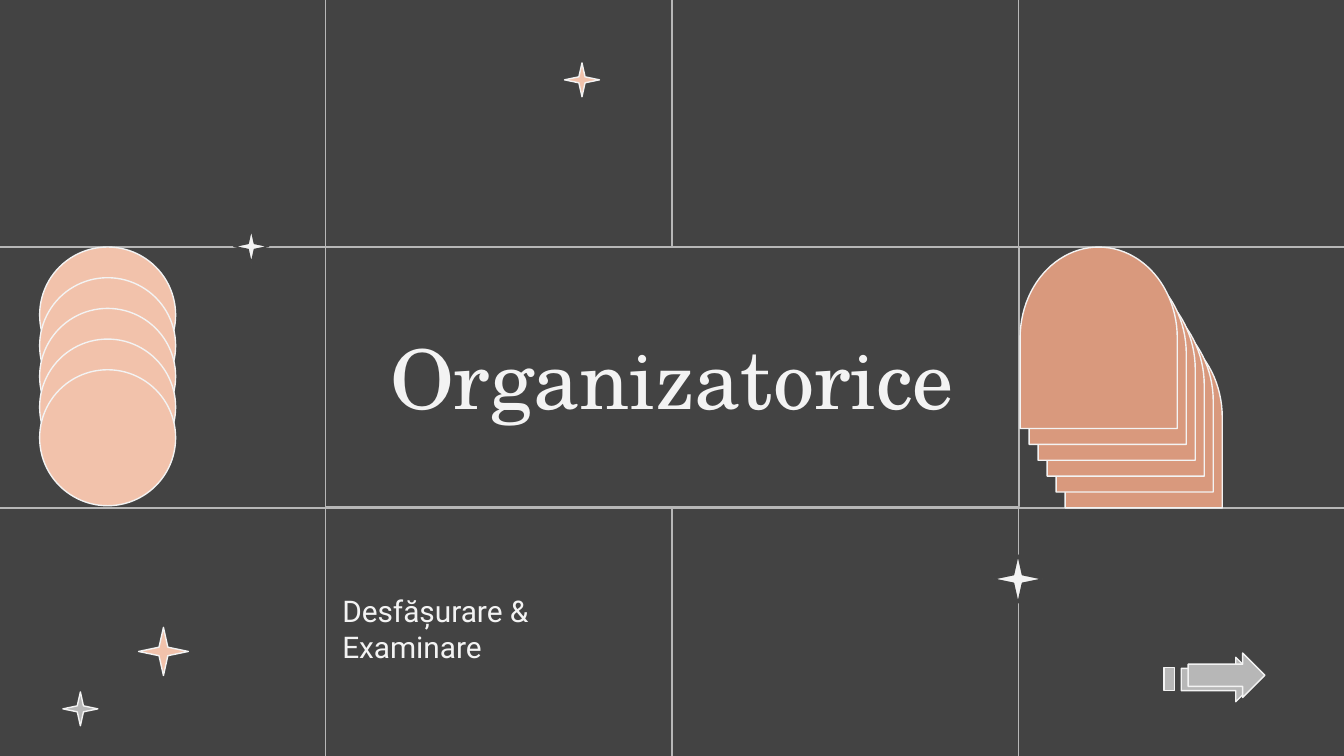
from dataclasses import dataclass

from lxml import etree
from pptx import Presentation
from pptx.dml.color import RGBColor
from pptx.enum.shapes import MSO_CONNECTOR, MSO_SHAPE
from pptx.enum.text import MSO_ANCHOR, MSO_AUTO_SIZE, PP_ALIGN
from pptx.oxml.ns import qn
from pptx.slide import Slide
from pptx.util import Cm, Pt

STAR, ARROW = MSO_SHAPE.STAR_4_POINT, MSO_SHAPE.UP_ARROW
RECT, OVAL, ARCH = MSO_SHAPE.RECTANGLE, MSO_SHAPE.OVAL, MSO_SHAPE.FLOWCHART_DELAY
STRAIGHT = MSO_CONNECTOR.STRAIGHT
MIDDLE, NO_FIT = MSO_ANCHOR.MIDDLE, MSO_AUTO_SIZE.NONE
LEFT, CENTER = PP_ALIGN.LEFT, PP_ALIGN.CENTER


def rgb(value):
    return RGBColor.from_string(value)


@dataclass
class Deck:
    """Holds the style and the current slide."""

    s: Slide
    dark: str = "434343"
    gray: str = "B7B7B7"
    light: str = "F3F3F3"
    peach: str = "F2C2AB"
    clay: str = "D9997D"
    weight: float = 0.75

    def background(self):
        fill = self.s.background.fill
        fill.solid()
        fill.fore_color.rgb = rgb(self.dark)

    def paint(self, sp, fill, line):
        sp.fill.solid()
        sp.fill.fore_color.rgb = rgb(fill)
        if line:
            sp.line.color.rgb = rgb(line)
            sp.line.width = Pt(self.weight)
        else:
            sp.line.fill.background()

    def line(self, x1, y1, x2, y2):
        c = self.s.shapes.add_connector(STRAIGHT, Cm(x1), Cm(y1), Cm(x2), Cm(y2))
        c.line.color.rgb = rgb(self.gray)
        c.line.width = Pt(self.weight)
        etree.SubElement(c.element.spPr, qn("a:effectLst"))

    def shape(self, kind, x, y, w, h, fill, line=None, rotation=0):
        sp = self.s.shapes.add_shape(kind, Cm(x), Cm(y), Cm(w), Cm(h))
        sp.shadow.inherit = False
        sp.rotation = rotation
        self.paint(sp, fill, line or self.light)
        return sp

    def star(self, x, y, w, h, fill, line=None):
        self.shape(STAR, x, y, w, h, fill, line).adjustments[0] = 0.125

    def set_text(self, sp, text, font, size, align):
        tf = sp.text_frame
        tf.text = text
        tf.word_wrap = True
        tf.auto_size = NO_FIT
        tf.vertical_anchor = MIDDLE
        tf.margin_left = tf.margin_right = tf.margin_top = tf.margin_bottom = Cm(0.25)
        p = tf.paragraphs[0]
        p.alignment = align
        p.font.name = font
        p.font.size = Pt(size)
        p.font.color.rgb = rgb(self.light)
        return p

    def title(self, x, y, w, h, text):
        sp = self.s.shapes.title
        sp.left, sp.top, sp.width, sp.height = Cm(x), Cm(y), Cm(w), Cm(h)
        self.paint(sp, self.dark, self.gray)
        self.set_text(sp, text, "TeX Gyre Schola", 44, CENTER)
        sp.element.getparent().append(sp.element)

    def subtitle(self, x, y, w, h, text):
        sp = self.s.shapes.add_textbox(Cm(x), Cm(y), Cm(w), Cm(h))
        self.paint(sp, self.dark, None)
        self.set_text(sp, text, "Roboto", 16, LEFT).space_after = Pt(12)


prs = Presentation()
prs.slide_width, prs.slide_height = Cm(25.4), Cm(14.29)
deck = Deck(prs.slides.add_slide(prs.slide_layouts[5]))
deck.background()

for x in (6.15, 12.7, 19.25):
    deck.line(x, -0.25, x, 14.58)
for y in (4.67, 9.6):
    deck.line(-0.43, y, 25.81, y)

big, small = (0.94, 0.91), (0.66, 0.64)
deck.star(2.62, 11.86, *big, deck.peach)
deck.star(1.19, 13.08, *small, deck.gray)

deck.shape(ARROW, 22.63, 12.12, 0.84, 1.45, deck.gray, rotation=90)
deck.shape(RECT, 22, 12.62, 0.2, 0.43, deck.gray)
deck.shape(ARROW, 22.76, 12.04, 0.84, 1.45, deck.gray, rotation=90)

deck.title(6.15, 4.67, 13.11, 4.9, "Organizatorice")
deck.subtitle(6.22, 11.07, 6.38, 1.63, "Desfășurare & Examinare")

deck.star(4.42, 4.34, *small, deck.light, deck.dark)
deck.star(18.77, 10.49, *big, deck.light, deck.dark)

for i in reversed(range(6)):
    deck.shape(ARCH, 19.05 + 0.17 * i, 4.9 + 0.3 * i, 3.43, 2.97, deck.clay, rotation=270)
for i in range(5):
    deck.shape(OVAL, 0.75, 4.67 + 0.58 * i, 2.57, 2.57, deck.peach)

deck.star(10.67, 1.19, *small, deck.peach)

prs.save("out.pptx")
